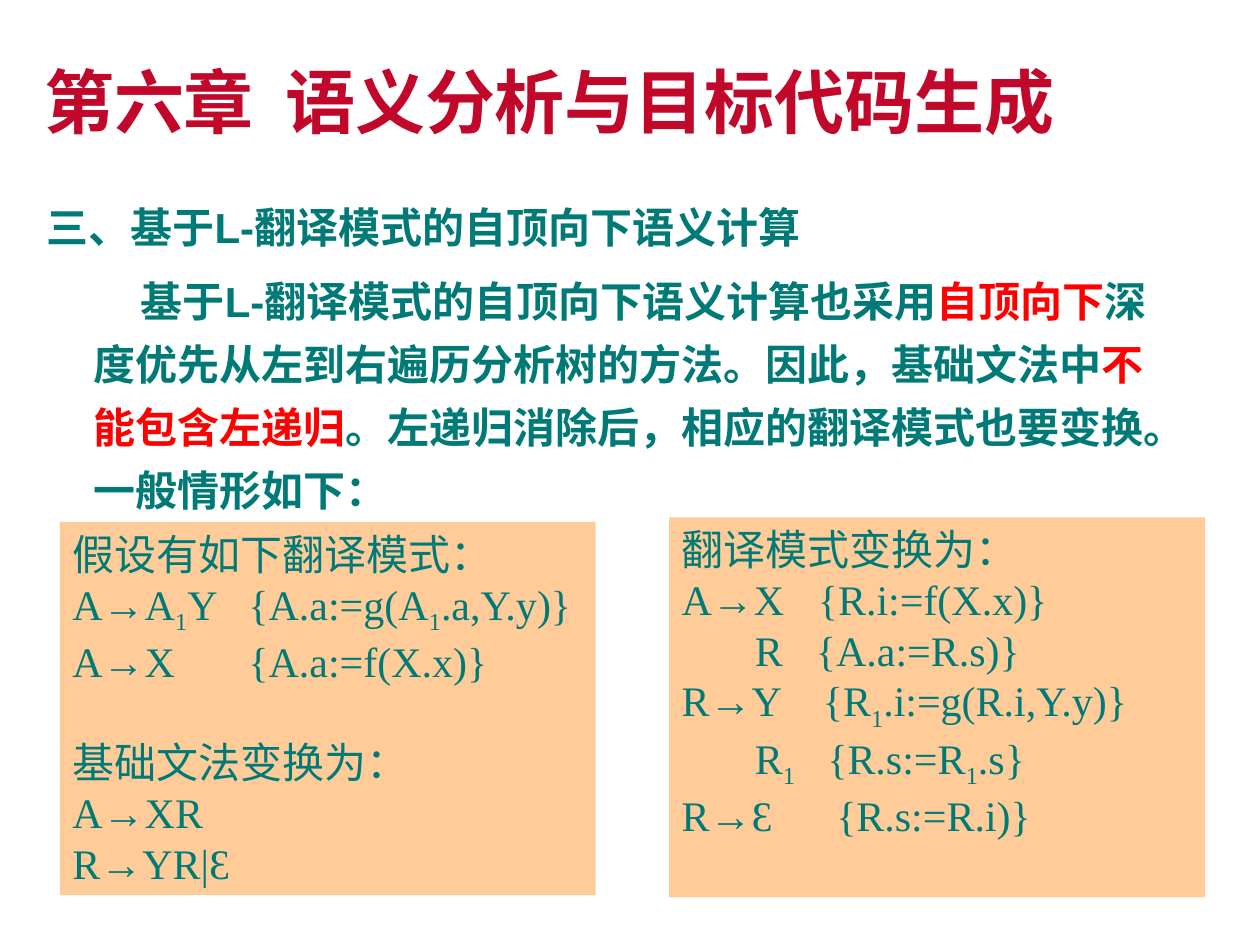
import pptx
import pptx.dml.color
import pptx.enum.shapes
import pptx.enum.text
import pptx.oxml.ns
import pptx.util
from lxml import etree

Cm = pptx.util.Cm
Pt = pptx.util.Pt
TEAL, RED, CRIMSON, PEACH = "007A77", "FF0000", "C1072A", "FFCC99"


def rgb(hex_value):
    return pptx.dml.color.RGBColor.from_string(hex_value)


def write_line(frame, pieces, font, spacing=None, indent=None, stops=()):
    """Add a paragraph of (text, colour) pieces; "_1" in a text is a subscript 1.

    indent is (left margin, first line) and stops are tab positions, all in cm.
    """
    line = frame.add_paragraph() if frame.text else frame.paragraphs[0]
    for name, value in (spacing or {}).items():
        setattr(line, name, value)
    properties = line._p.get_or_add_pPr()
    if indent:
        properties.set("marL", str(Cm(indent[0])))
        properties.set("indent", str(Cm(indent[1])))
    if stops:
        tabs = etree.SubElement(properties, pptx.oxml.ns.qn("a:tabLst"))
        for stop in stops:
            etree.SubElement(tabs, pptx.oxml.ns.qn("a:tab"), pos=str(Cm(stop)), algn="l")
    for text, colour in pieces:
        for position, part in enumerate(text.split("_1")):
            if position:
                subscript = line.add_run()
                subscript.text = "1"
                subscript._r.get_or_add_rPr().set("baseline", "-25000")
            if part:
                line.add_run().text = part
        for run in line.runs:
            if run.font.size is None:
                run.font.color.rgb = rgb(colour)
                for name, value in font.items():
                    setattr(run.font, name, value)


presentation = pptx.Presentation()
presentation.slide_width = Cm(25.4)
presentation.slide_height = Cm(19.05)
slide = presentation.slides.add_slide(presentation.slide_layouts[6])

# Section text
section = slide.shapes.add_textbox(Cm(0.69), Cm(3.33), Cm(23.22), Cm(15.01)).text_frame
section.word_wrap = True
section_font = {"name": "Arial", "size": Pt(24), "bold": True}
write_line(section, [("三、基于L-翻译模式的自顶向下语义计算", TEAL)], section_font,
           {"line_spacing": 1.6, "space_before": Pt(6)}, indent=(0.95, -0.95))
write_line(section, [
    ("基于L-翻译模式的自顶向下语义计算也采用", TEAL),
    ("自顶向下", RED),
    ("深度优先从左到右遍历分析树的方法。因此，基础文法中", TEAL),
    ("不能包含左递归", RED),
    ("。左递归消除后，相应的翻译模式也要变换。一般情形如下：", TEAL),
], section_font, {"line_spacing": Pt(36), "space_before": Pt(6)}, indent=(0.95, 0.95))

# Chapter title
chapter = slide.shapes.add_textbox(Cm(0.64), Cm(0.43), Cm(24.76), Cm(3.18)).text_frame
chapter.word_wrap = True
chapter.vertical_anchor = pptx.enum.text.MSO_ANCHOR.MIDDLE
write_line(chapter, [("第六章\t语义分析与目标代码生成", CRIMSON)],
           {"name": "Arial", "size": Pt(40), "bold": True}, stops=[4.86])

# Translation schemes before and after: (text, tab stops, space before)
before = [
    ("假设有如下翻译模式：", [], 0),
    ("A→A_1Y\t{A.a:=g(A_1.a,Y.y)}", [3.55], 0),
    ("A→X\t{A.a:=f(X.x)}", [3.55], 0),
    ("基础文法变换为：", [], 28.6),
    ("A→XR", [], 0),
    ("R→YR|Ɛ", [], 0),
]
after = [
    ("翻译模式变换为：", [], 0),
    ("A→X\t{R.i:=f(X.x)}", [2.75], 0),
    ("\tR\t{A.a:=R.s)}", [1.48, 2.71], 0),
    ("R→Y\t{R_1.i:=g(R.i,Y.y)}", [2.85], 0),
    ("\tR_1\t{R.s:=R_1.s}", [1.48, 2.94], 0),
    ("R→Ɛ\t{R.s:=R.i)}", [3.12], 0),
]
for left, top, height, rules in [(1.21, 10.52, 7.52, before), (13.49, 10.43, 7.66, after)]:
    panel = slide.shapes.add_shape(pptx.enum.shapes.MSO_SHAPE.RECTANGLE,
                                   Cm(left), Cm(top), Cm(10.8), Cm(height))
    panel.shadow.inherit = False
    panel.fill.solid()
    panel.fill.fore_color.rgb = rgb(PEACH)
    panel.line.fill.background()
    panel.text_frame.word_wrap = True
    panel.text_frame.vertical_anchor = pptx.enum.text.MSO_ANCHOR.TOP
    for rule, stops, gap in rules:
        write_line(panel.text_frame, [(rule, TEAL)],
                   {"name": "Times New Roman", "size": Pt(24)},
                   {"alignment": pptx.enum.text.PP_ALIGN.LEFT, "space_before": Pt(gap)},
                   stops=stops)

presentation.save("out.pptx")
